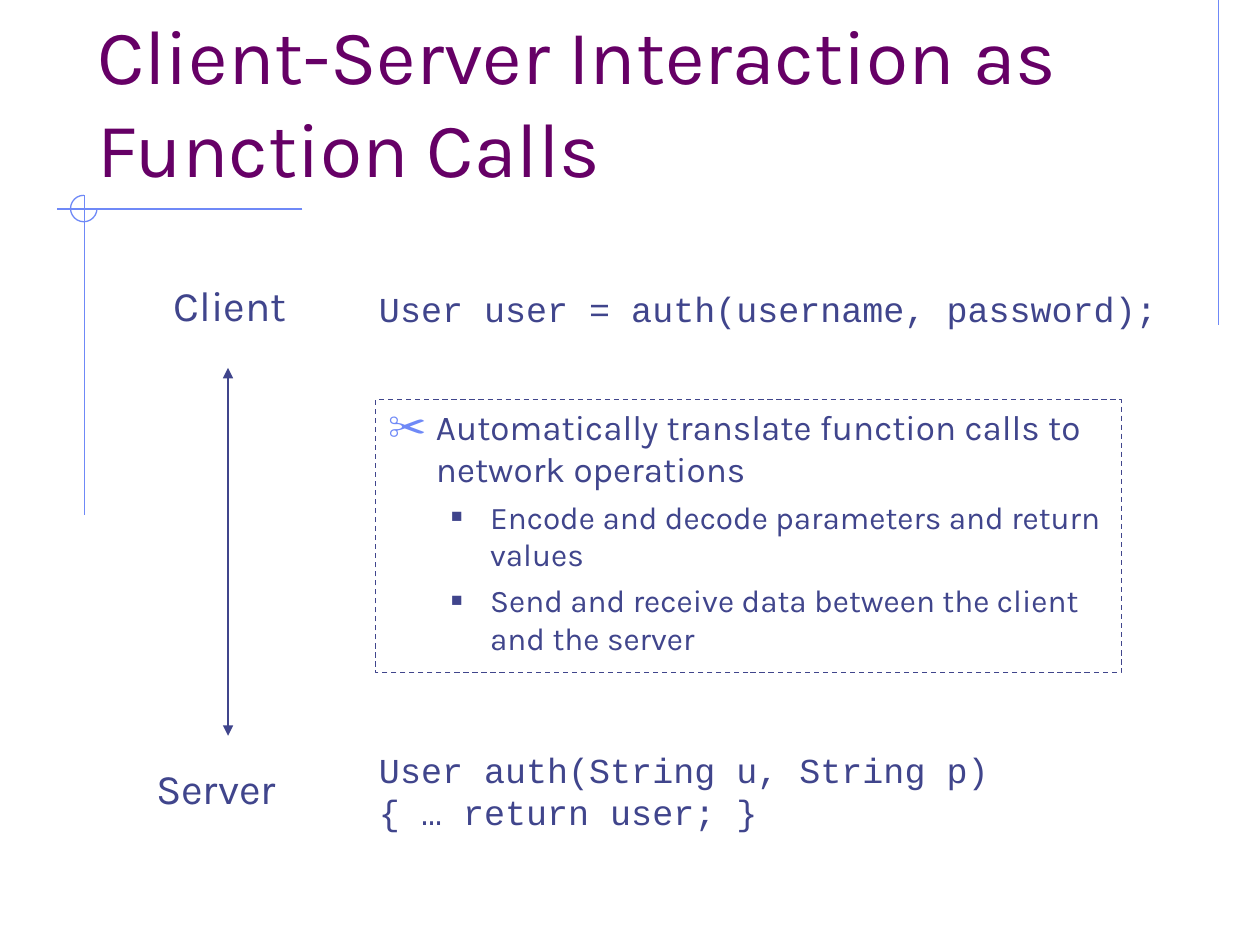
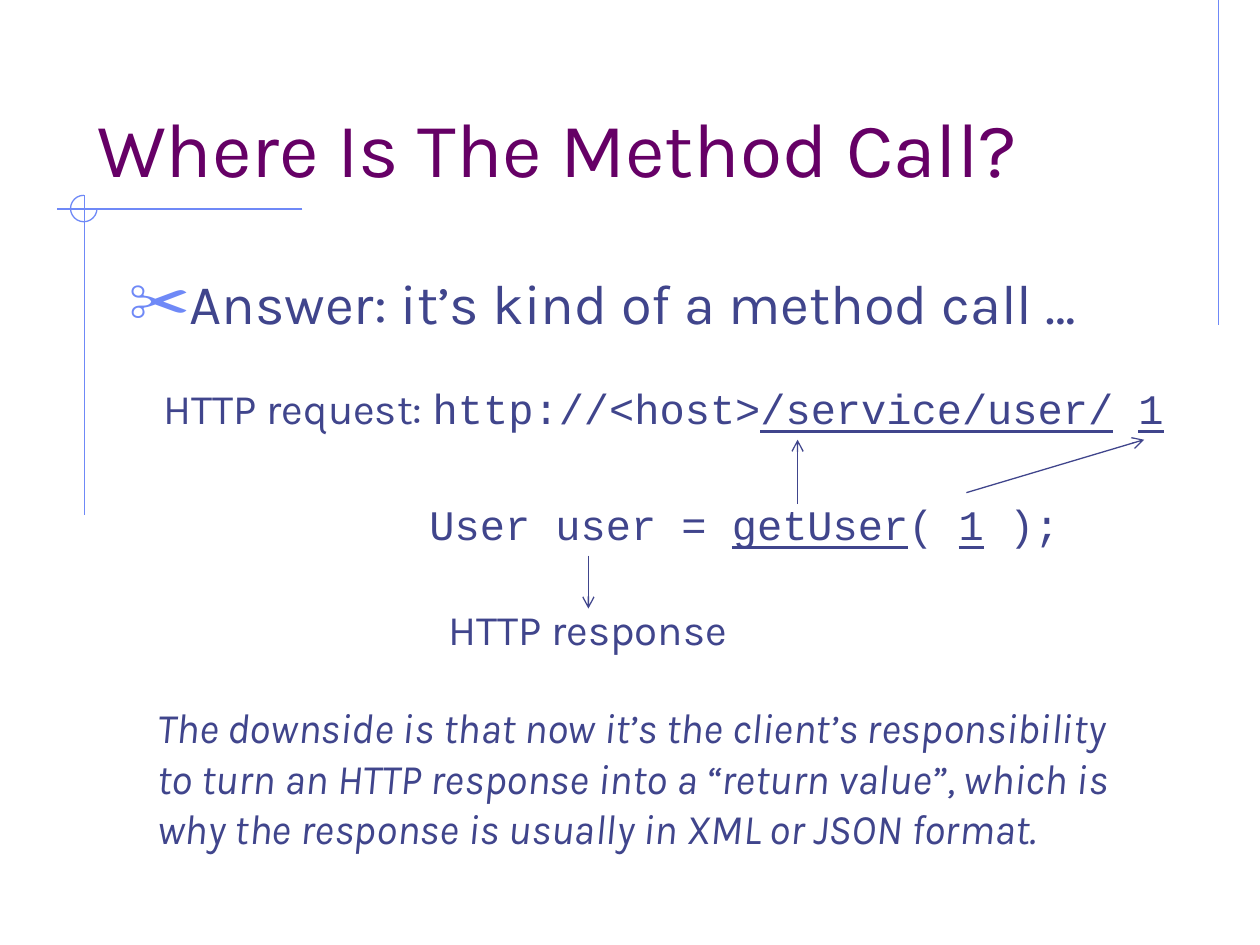
"""Build two slides on client-server interaction seen as function calls."""
from lxml import etree
from pptx import Presentation
from pptx.dml.color import RGBColor
from pptx.enum import dml, shapes, text
from pptx.oxml import ns
from pptx.util import Inches, Pt

PLUM = RGBColor(0x66, 0x00, 0x66)
INDIGO = RGBColor(0x40, 0x45, 0x8C)
SKY = RGBColor(0x6F, 0x89, 0xF7)
SANS, MONO = "Karla", "Courier New"
TITLE_AREA = (0.67, 0.33, 8.5, 1.25)

RULES = [
    ((9.67, 0), (9.67, 2.58)),
    ((2.4, 1.66), (0.45, 1.66)),
    ((0.67, 1.55), (0.67, 4.09)),
]
RING = (0.56, 1.55, 0.21, 0.21)

BULLETS = [
    {"char": "✂", "color": SKY, "percent": 110, "left": 0.38, "hanging": 0.38},
    {"char": "■", "color": INDIGO, "percent": 60, "left": 0.81, "hanging": 0.31},
]

SLIDES = [
    {
        "title": "Client-Server Interaction as Function Calls",
        "points": {
            "area": (2.98, 3.17, 5.92, 2.17),
            "boxed": True,
            "items": [
                (0, 20, "Automatically translate function calls to network operations"),
                (1, 18, "Encode and decode parameters and return values"),
                (1, 18, "Send and receive data between the client and the server"),
            ],
        },
        "labels": [
            ((1.28, 2.17, 1.2, 0.5), ["Client"], {}),
            ((1.14, 6, 1.3, 0.5), ["Server"], {}),
            ((2.91, 2.23, 6.5, 0.44), ["User user = auth(username, password);"],
             {"size": 20, "font": MONO}),
            ((2.91, 5.89, 5.2, 0.77),
             ["User auth(String u, String p)", "{ … return user; }"],
             {"size": 20, "font": MONO}),
        ],
        "arrows": [((1.81, 2.92), (1.81, 5.84), {"head": "triangle", "tail": "triangle"})],
    },
    {
        "title": "Where Is The Method Call?",
        "points": {
            "area": (0.92, 2.08, 8.5, 0.75),
            "boxed": False,
            "items": [(0, 32, "Answer: it’s kind of a method call …")],
        },
        "labels": [
            ((3.31, 3.91, 5.3, 0.5),
             [["User user = ", ("getUser", {"underline": True}), "( ",
               ("1", {"underline": True}), " );"]],
             {"font": MONO}),
            ((1.2, 2.99, 8.4, 0.5),
             [[("HTTP request: ", {"font": SANS}), "http://<host>",
               ("/service/user/", {"underline": True}), " ", ("1", {"underline": True})]],
             {"font": MONO}),
            ((3.46, 4.74, 2.65, 0.5), ["HTTP response"], {}),
            ((1.15, 5.52, 8.45, 1.3),
             ["The downside is that now it’s the client’s responsibility",
              "to turn an HTTP response into a “return value”, which is",
              "why the response is usually in XML or JSON format."],
             {"italic": True}),
        ],
        "arrows": [
            ((6.33, 4), (6.33, 3.49), {"tail": "arrow"}),
            ((7.67, 3.91), (9.08, 3.49), {"tail": "arrow"}),
            ((4.67, 4.41), (4.67, 4.83), {"tail": "arrow"}),
        ],
    },
]


def inches(lengths):
    """Convert a sequence of numbers to lengths."""
    return [Inches(length) for length in lengths]


def place(holder, area):
    """Move a placeholder to an area."""
    holder.left, holder.top, holder.width, holder.height = inches(area)
    holder.text_frame.auto_size = text.MSO_AUTO_SIZE.NONE


def write(paragraph, content, **look):
    """Add a string, or a list of strings and (string, format) pairs, as runs."""
    for piece in [content] if isinstance(content, str) else content:
        words, changes = (piece, {}) if isinstance(piece, str) else piece
        style = {"size": 24, "font": SANS, "color": INDIGO, **look, **changes}
        run = paragraph.add_run()
        run.text = words
        run.font.size = Pt(style["size"])
        run.font.name = style["font"]
        run.font.color.rgb = style["color"]
        run.font.italic = style.get("italic")
        run.font.underline = style.get("underline")


def paragraphs(frame, count):
    """Return the frame's first paragraph and as many new ones as needed."""
    return [frame.paragraphs[0]] + [frame.add_paragraph() for _ in range(count - 1)]


def child(parent, tag, **attributes):
    """Append a drawing element."""
    return etree.SubElement(parent, ns.qn(tag), attributes)


def add_bullet(paragraph, char, color, percent, left, hanging):
    """Give a paragraph a coloured bullet and a hanging indent."""
    properties = paragraph._p.get_or_add_pPr()
    properties.set("marL", str(Inches(left)))
    properties.set("indent", str(-Inches(hanging)))
    child(child(properties, "a:buClr"), "a:srgbClr", val=str(color))
    child(properties, "a:buSzPct", val=str(percent * 1000))
    child(properties, "a:buChar", char=char)


def add_line(slide, start, end, color, head=None, tail=None):
    """Draw a thin straight line with optional arrowheads."""
    line = slide.shapes.add_connector(
        shapes.MSO_CONNECTOR.STRAIGHT, *inches(start + end))
    line.line.color.rgb = color
    line.line.width = Pt(0.75)
    outline = line.line._get_or_add_ln()
    for tag, kind in (("a:headEnd", head), ("a:tailEnd", tail)):
        if kind:
            child(outline, tag, type=kind)
    child(line._element.spPr, "a:effectLst")


def add_ornament(slide):
    """Draw the rules and the three-quarter ring shared by all slides."""
    for start, end in RULES:
        add_line(slide, start, end, SKY)
    ring = slide.shapes.add_shape(shapes.MSO_SHAPE.ARC, *inches(RING))
    ring.adjustments[0], ring.adjustments[1] = 0, 162
    ring.shadow.inherit = False
    ring.fill.background()
    ring.line.color.rgb = SKY
    ring.line.width = Pt(0.75)


def add_title(slide, words):
    """Fill the title placeholder."""
    title = slide.shapes.title
    place(title, TITLE_AREA)
    title.text_frame.vertical_anchor = text.MSO_ANCHOR.BOTTOM
    heading = title.text_frame.paragraphs[0]
    heading.alignment = text.PP_ALIGN.LEFT
    write(heading, words, size=44, color=PLUM)


def add_points(slide, area, boxed, items):
    """Fill the body placeholder with a bulleted list, boxed if asked."""
    points = slide.placeholders[1]
    place(points, area)
    if boxed:
        points.line.color.rgb = INDIGO
        points.line.width = Pt(0.75)
        points.line.dash_style = dml.MSO_LINE.DASH
    lines = paragraphs(points.text_frame, len(items))
    for index, (point, (level, size, words)) in enumerate(zip(lines, items)):
        point.level = level
        point.space_before = Pt(size / 4 if index else 0)
        add_bullet(point, **BULLETS[level])
        write(point, words, size=size)


def add_label(slide, area, lines, look):
    """Add a text box, one paragraph a line."""
    frame = slide.shapes.add_textbox(*inches(area)).text_frame
    frame.word_wrap = True
    frame.auto_size = text.MSO_AUTO_SIZE.SHAPE_TO_FIT_TEXT
    for paragraph, line in zip(paragraphs(frame, len(lines)), lines):
        write(paragraph, line, **look)


def main():
    """Build and save the presentation."""
    deck = Presentation()
    deck.slide_width, deck.slide_height = inches((10, 7.5))
    for content in SLIDES:
        slide = deck.slides.add_slide(deck.slide_layouts[1])
        add_ornament(slide)
        add_title(slide, content["title"])
        add_points(slide, **content["points"])
        for label in content["labels"]:
            add_label(slide, *label)
        for start, end, heads in content["arrows"]:
            add_line(slide, start, end, INDIGO, **heads)
    deck.save("out.pptx")


if __name__ == "__main__":
    main()
